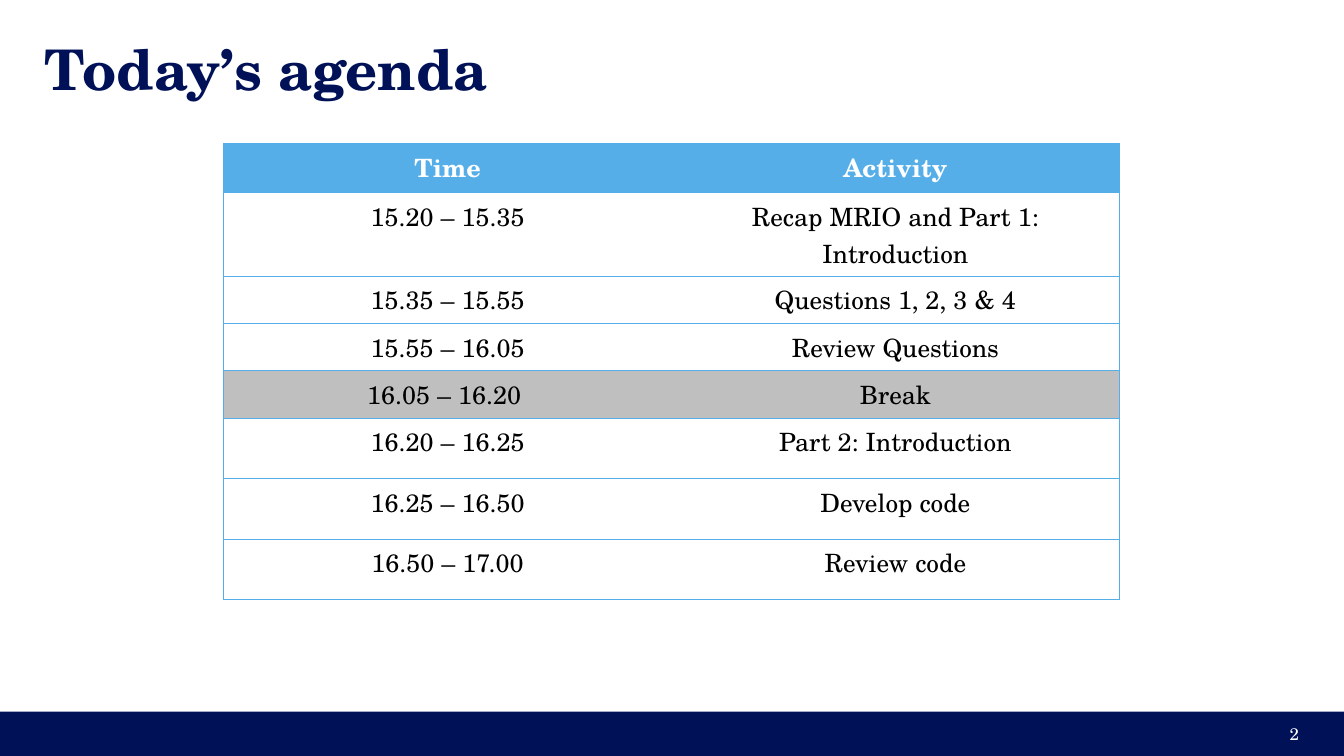
from lxml import etree
from pptx import Presentation
from pptx.dml.color import RGBColor
from pptx.enum.shapes import MSO_SHAPE
from pptx.enum.text import MSO_ANCHOR, MSO_AUTO_SIZE, PP_ALIGN
from pptx.oxml.ns import qn
from pptx.util import Inches, Pt

NAVY = RGBColor(0x00, 0x11, 0x58)
SKY = RGBColor(0x56, 0xAE, 0xE9)
GRAY = RGBColor(0xBF, 0xBF, 0xBF)
WHITE = RGBColor(0xFF, 0xFF, 0xFF)
BLACK = RGBColor(0x00, 0x00, 0x00)
FONT = "TeX Gyre Schola"

RECTANGLE = MSO_SHAPE.RECTANGLE
MIDDLE = MSO_ANCHOR.MIDDLE
NO_AUTOFIT = MSO_AUTO_SIZE.NONE
LEFT, CENTER, RIGHT = PP_ALIGN.LEFT, PP_ALIGN.CENTER, PP_ALIGN.RIGHT

# Time, activity, row height in inches
AGENDA = [
    ("Time", "Activity", 0.49),
    ("15.20 – 15.35", "Recap MRIO and Part 1: Introduction", 0.83),
    ("15.35 – 15.55", "Questions 1, 2, 3 & 4", 0.47),
    ("15.55 – 16.05", "Review Questions", 0.47),
    ("16.05 – 16.20 ", "Break", 0.47),
    ("16.20 – 16.25", "Part 2: Introduction", 0.6),
    ("16.25 – 16.50", "Develop code", 0.6),
    ("16.50 – 17.00", "Review code", 0.6),
]


def set_text(tf, text, size, color, align, bold=False):
    tf.text = text
    p = tf.paragraphs[0]
    p.alignment = align
    font = p.runs[0].font
    font.name = FONT
    font.size = Pt(size)
    font.bold = bold
    font.color.rgb = color


def set_border(cell, side, visible):
    ln = etree.SubElement(cell._tc.get_or_add_tcPr(), qn(f"a:ln{side}"))
    if visible:
        ln.set("w", str(Pt(0.75)))
        fill = etree.SubElement(ln, qn("a:solidFill"))
        etree.SubElement(fill, qn("a:srgbClr"), val=str(SKY))
    else:
        etree.SubElement(ln, qn("a:noFill"))


def add_title(slide, text):
    title = slide.shapes.title
    title.left, title.top = Inches(0.44), Inches(0.44)
    title.width, title.height = Inches(12.46), Inches(0.47)
    tf = title.text_frame
    tf.margin_left = tf.margin_top = tf.margin_right = tf.margin_bottom = 0
    tf.vertical_anchor = MIDDLE
    tf.auto_size = NO_AUTOFIT
    set_text(tf, text, 40, NAVY, LEFT, bold=True)


def add_footer(slide, number):
    bar = slide.shapes.add_shape(RECTANGLE, 0, Inches(7.06), Inches(13.34), Inches(0.44))
    bar.shadow.inherit = False
    bar.fill.solid()
    bar.fill.fore_color.rgb = NAVY
    bar.line.fill.background()

    box = slide.shapes.add_textbox(Inches(9.99), Inches(7.08), Inches(3), Inches(0.4))
    tf = box.text_frame
    tf.word_wrap = True
    tf.vertical_anchor = MIDDLE
    set_text(tf, number, 12, WHITE, RIGHT)


def add_agenda(slide):
    height = sum(row[2] for row in AGENDA)
    table = slide.shapes.add_table(
        len(AGENDA), 2, Inches(2.22), Inches(1.42), Inches(8.89), Inches(height)
    ).table
    table.horz_banding = False
    for i, (time, activity, row_height) in enumerate(AGENDA):
        table.rows[i].height = Inches(row_height)
        header = i == 0
        fill = SKY if header else GRAY if activity == "Break" else WHITE
        for j, text in enumerate((time, activity)):
            cell = table.cell(i, j)
            # Outer frame and row rules, no line between the columns
            for side, visible in (("L", j == 0), ("R", j == 1), ("T", True), ("B", True)):
                set_border(cell, side, visible)
            cell.fill.solid()
            cell.fill.fore_color.rgb = fill
            set_text(cell.text_frame, text, 18, WHITE if header else BLACK, CENTER, header)


def main():
    prs = Presentation()
    prs.slide_width, prs.slide_height = Inches(13.34), Inches(7.5)
    slide = prs.slides.add_slide(prs.slide_layouts[5])  # title only
    add_footer(slide, "2")
    add_title(slide, "Today’s agenda")
    add_agenda(slide)
    prs.save("out.pptx")


if __name__ == "__main__":
    main()
